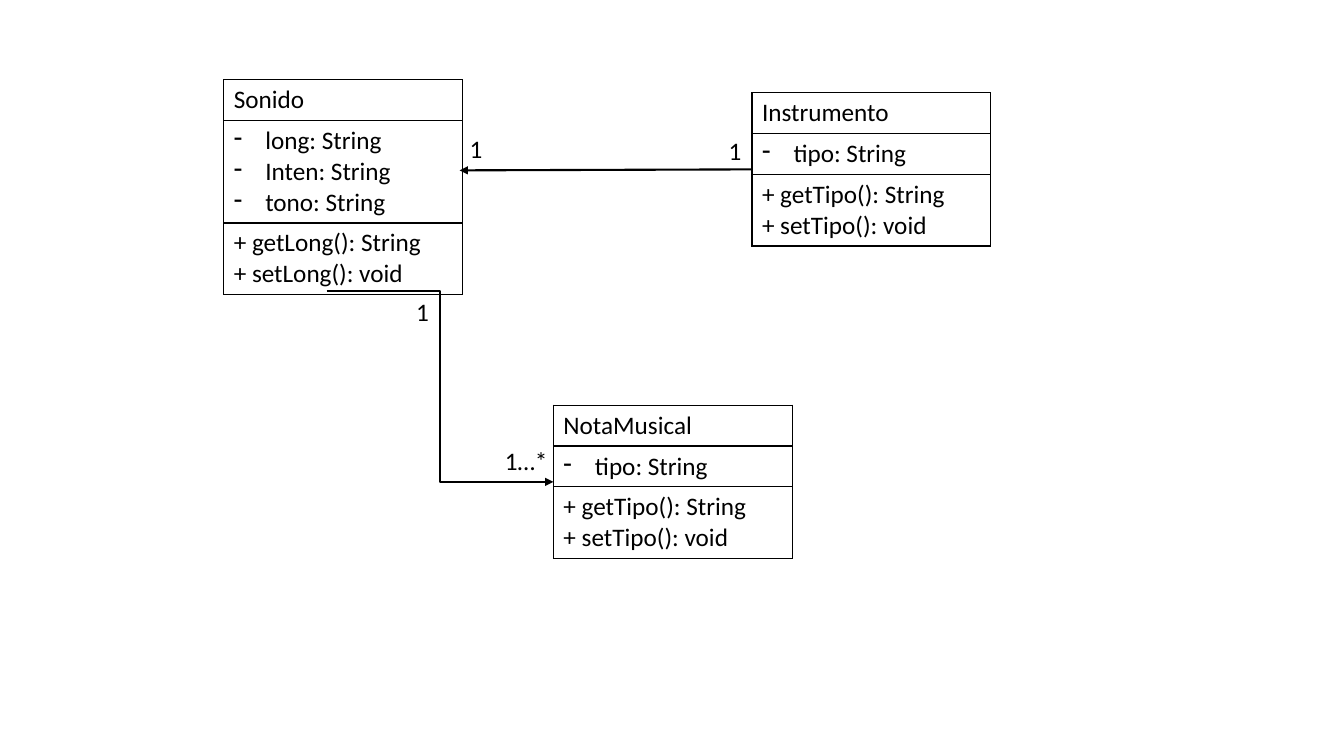
from pptx import Presentation
from pptx.dml.color import RGBColor
from pptx.enum.shapes import MSO_CONNECTOR
from pptx.enum.text import MSO_AUTO_SIZE
from pptx.oxml.ns import qn
from pptx.util import Pt
from lxml import etree

BLACK = RGBColor(0, 0, 0)
STRAIGHT, ELBOW = MSO_CONNECTOR.STRAIGHT, MSO_CONNECTOR.ELBOW
FIT_SHAPE = MSO_AUTO_SIZE.SHAPE_TO_FIT_TEXT

# Content: UML classes as (name, attributes, methods, left, top)
CLASSES = [
    ("Sonido", ["long: String", "Inten: String", "tono: String"],
     ["+ getLong(): String", "+ setLong(): void"], 159.8, 56.9),
    ("Instrumento", ["tipo: String"],
     ["+ getTipo(): String", "+ setTipo(): void"], 537.1, 66.2),
    ("NotaMusical", ["tipo: String"],
     ["+ getTipo(): String", "+ setTipo(): void"], 395.3, 289.4),
]
# Associations as (kind, start x, start y, end x, end y)
ASSOCIATIONS = [
    (STRAIGHT, 537.1, 121, 328.3, 121.7),
    (ELBOW, 233.3, 208.1, 395.3, 344.2),
]
# Multiplicities as (text, left, top, width)
MULTIPLICITIES = [
    ("1", 513.4, 92.9, 23.8),
    ("1", 328.3, 91.4, 23.8),
    ("1", 290.2, 208.1, 23.8),
    ("1…*", 353.5, 314.6, 45.4),
]

CLASS_WIDTH = 170.6
LINE_HEIGHT, CELL_PADDING = 21.9, 7.2
LABEL_HEIGHT = 28.8
DASH_INDENT = Pt(22.5)
FONT = {"name": "Calibri", "size": Pt(18), "bold": False}
PLAIN_TABLE = {"first_row": False, "horz_banding": False}


def write(frame, lines, dashed=False):
    for i, line in enumerate(lines):
        paragraph = frame.paragraphs[0] if i == 0 else frame.add_paragraph()
        run = paragraph.add_run()
        run.text = line
        for key, value in FONT.items():
            setattr(run.font, key, value)
        run.font.color.rgb = BLACK
        if dashed:
            properties = paragraph._p.get_or_add_pPr()
            properties.set("marL", str(DASH_INDENT))
            properties.set("indent", str(-DASH_INDENT))
            etree.SubElement(properties, qn("a:buFontTx"))
            etree.SubElement(properties, qn("a:buChar"), char="-")


def outline(cell):
    cell.fill.background()
    properties = cell._tc.get_or_add_tcPr()
    for i, side in enumerate(("a:lnL", "a:lnR", "a:lnT", "a:lnB")):
        border = etree.Element(qn(side), w=str(Pt(1)))
        fill = etree.SubElement(border, qn("a:solidFill"))
        etree.SubElement(fill, qn("a:srgbClr"), val=str(BLACK))
        properties.insert(i, border)


def add_class(slide, name, attributes, methods, left, top):
    sections = [[name], attributes, methods]
    heights = [CELL_PADDING + LINE_HEIGHT * len(lines) for lines in sections]
    table = slide.shapes.add_table(
        len(sections), 1, Pt(left), Pt(top), Pt(CLASS_WIDTH), Pt(sum(heights))).table
    for key, value in PLAIN_TABLE.items():
        setattr(table, key, value)
    for row, lines, height in zip(table.rows, sections, heights):
        row.height = Pt(height)
        cell = row.cells[0]
        write(cell.text_frame, lines, dashed=lines is attributes)
        outline(cell)


def add_association(slide, kind, *ends):
    arrow = slide.shapes.add_connector(kind, *map(Pt, ends))
    arrow.line.color.rgb = BLACK
    arrow.line.width = Pt(1.5)
    etree.SubElement(arrow.line._get_or_add_ln(), qn("a:tailEnd"), type="triangle")
    etree.SubElement(arrow._element.spPr, qn("a:effectLst"))


def add_multiplicity(slide, text, left, top, width):
    label = slide.shapes.add_textbox(Pt(left), Pt(top), Pt(width), Pt(LABEL_HEIGHT))
    label.text_frame.word_wrap = False
    label.text_frame.auto_size = FIT_SHAPE
    write(label.text_frame, [text])


# Slide with the blank layout
prs = Presentation()
prs.slide_width, prs.slide_height = Pt(960), Pt(540)
diagram = prs.slides.add_slide(prs.slide_layouts[6])

# Class boxes, arrows and multiplicities
for uml_class in CLASSES:
    add_class(diagram, *uml_class)
for association in ASSOCIATIONS:
    add_association(diagram, *association)
for multiplicity in MULTIPLICITIES:
    add_multiplicity(diagram, *multiplicity)

prs.save("out.pptx")
